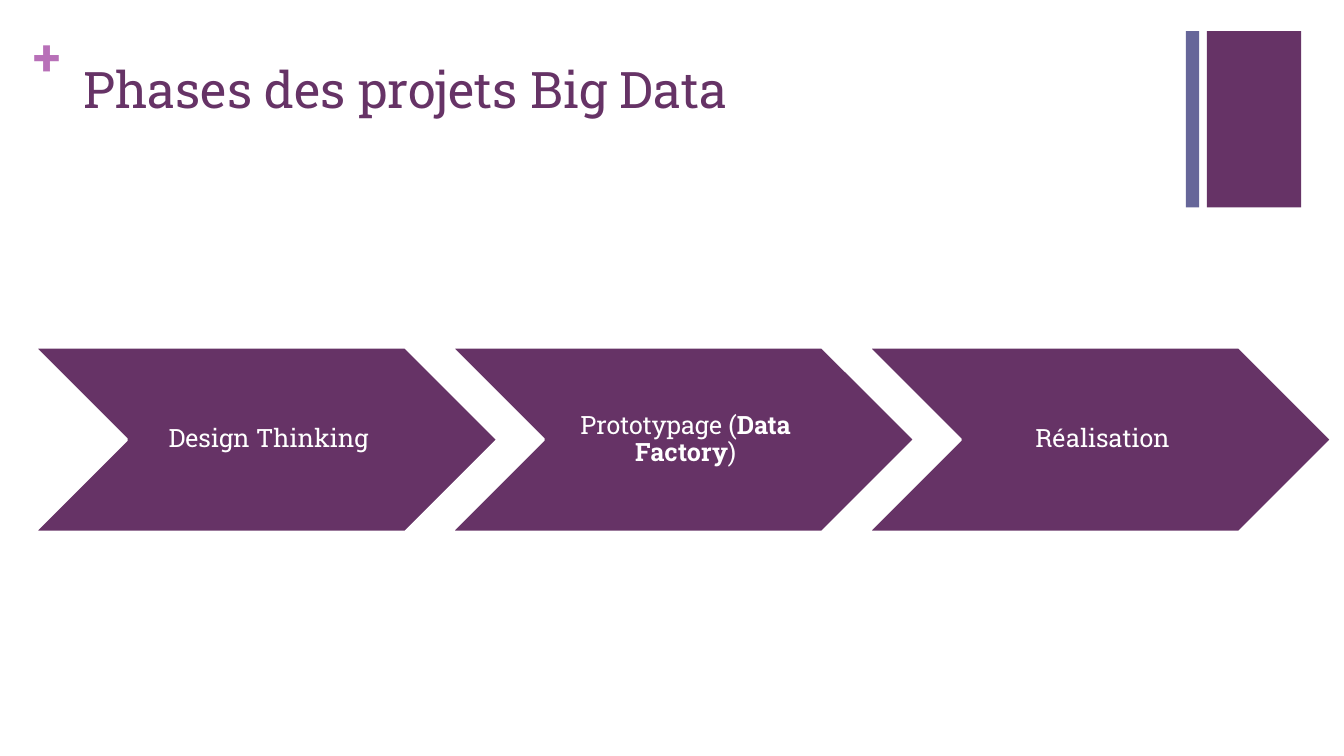
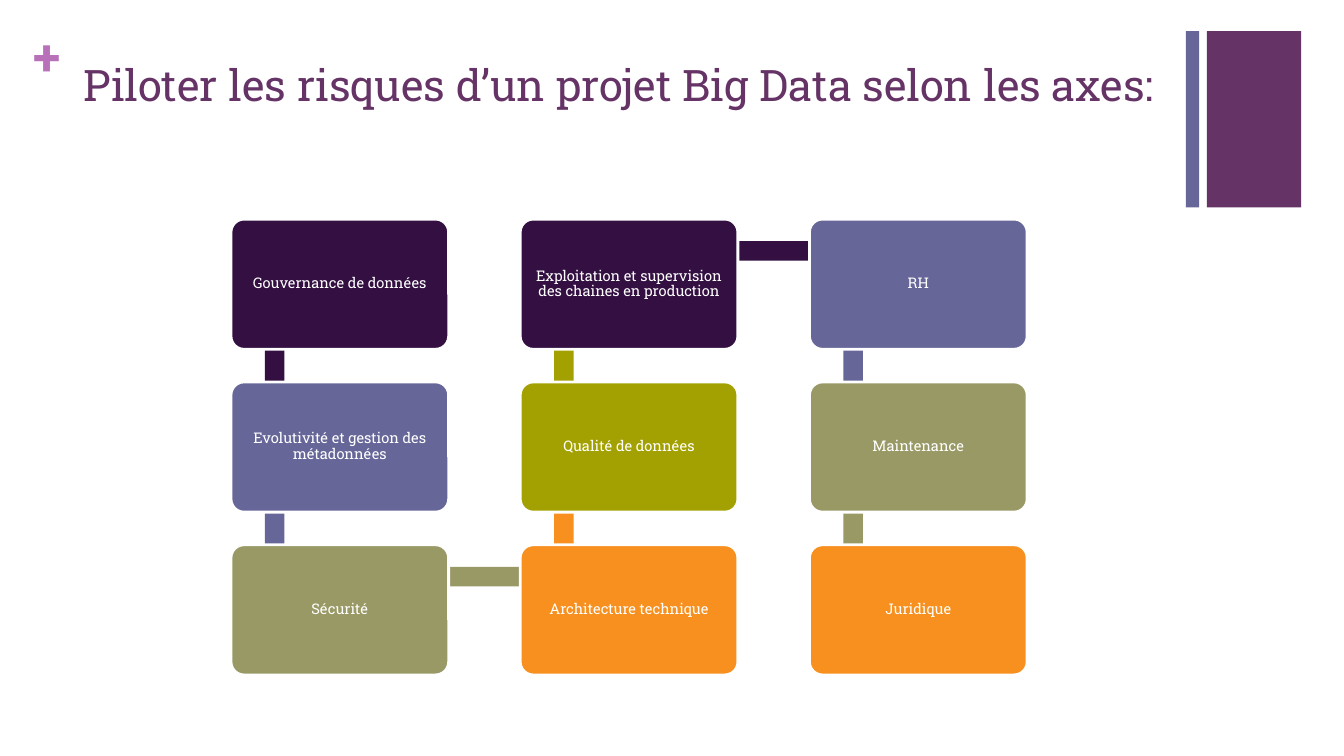
from itertools import pairwise

from pptx import Presentation
from pptx.dml.color import RGBColor
from pptx.enum import shapes, text
from pptx.util import Pt

FONT = "Roboto Slab"
PLUM, SLATE, ORCHID, WHITE = "663366", "666699", "B870B8", "FFFFFF"
NIGHT, OLIVE, ORANGE, LIME = "330F42", "999966", "F7901E", "A3A101"
PRESET = shapes.MSO_SHAPE
TITLE_ONLY = 5

PHASES_TITLE = "Phases des projets Big Data"
# Each phase is a list of (text, bold) spans.
PHASES = [
    [("Design Thinking", False)],
    [("Prototypage (", False), ("Data Factory", True), (")", False)],
    [("Réalisation", False)],
]

RISKS_TITLE = "Piloter les risques d’un projet Big Data selon les axes:"
# In reading order along the winding path: down, up, then down again.
RISKS = [
    ("Gouvernance de données", NIGHT),
    ("Evolutivité et gestion des métadonnées", SLATE),
    ("Sécurité", OLIVE),
    ("Architecture technique", ORANGE),
    ("Qualité de données", LIME),
    ("Exploitation et supervision des chaines en production", NIGHT),
    ("RH", SLATE),
    ("Maintenance", OLIVE),
    ("Juridique", ORANGE),
]


def rgb(color):
    return RGBColor.from_string(color)


def write(shape, spans, size, color=WHITE, align=text.PP_ALIGN.CENTER,
          anchor=text.MSO_ANCHOR.MIDDLE, margins=(0, 0, 0, 0), spacing=None):
    """Fill a shape with one paragraph of (text, bold) spans."""
    frame = shape.text_frame
    frame.word_wrap = True
    frame.auto_size = text.MSO_AUTO_SIZE.NONE
    frame.vertical_anchor = anchor
    (frame.margin_left, frame.margin_top,
     frame.margin_right, frame.margin_bottom) = map(Pt, margins)
    para = frame.paragraphs[0]
    para.alignment = align
    para.line_spacing = spacing
    for words, bold in spans:
        span = para.add_run()
        span.text = words
        span.font.name = FONT
        span.font.size = Pt(size)
        span.font.bold = bold
        span.font.color.rgb = rgb(color)


def add_block(page, preset, left, top, width, height, fill, outline=None):
    block = page.shapes.add_shape(preset, Pt(left), Pt(top), Pt(width), Pt(height))
    block.shadow.inherit = False
    block.fill.solid()
    block.fill.fore_color.rgb = rgb(fill)
    if outline:
        block.line.color.rgb = rgb(outline)
        block.line.width = Pt(2)
    else:
        block.line.fill.background()
    return block


def add_page(deck, title, title_size):
    """Add a slide with the shared bands, plus sign and title."""
    page = deck.slides.add_slide(deck.slide_layouts[TITLE_ONLY])
    top_left = dict(align=text.PP_ALIGN.LEFT, anchor=text.MSO_ANCHOR.TOP)
    add_block(page, PRESET.RECTANGLE, 862, 22.2, 67.5, 126, PLUM)
    add_block(page, PRESET.RECTANGLE, 847, 22.2, 9.6, 126, SLATE)
    plus = page.shapes.add_textbox(Pt(23.8), Pt(18), Pt(27.4), Pt(44))
    write(plus, [("+", True)], 36, ORCHID, **top_left)
    heading = page.shapes.title
    heading.left, heading.top = Pt(52.6), Pt(38.2)
    heading.width, heading.height = Pt(793.4), Pt(87.8)
    write(heading, [(title, False)], title_size, PLUM,
          margins=(7.2, 3.6, 7.2, 3.6), **top_left)
    return page


def add_phases(page):
    left, top, width, height, pitch = 24.5, 248, 331, 132, 297.8
    for index, spans in enumerate(PHASES):
        chevron = add_block(page, PRESET.CHEVRON, left + index * pitch, top,
                            width, height, PLUM, WHITE)
        write(chevron, spans, 18, margins=(6, 2, 2, 2), spacing=0.9)


def add_risks(page):
    left, top, width, height = 165, 156.5, 155.5, 93
    pitch_x, pitch_y, rows = 206.6, 116.3, 3
    link_x, link_y, thickness = 31.2, 22.8, 14  # link ends, from a box corner

    corners = []
    for index in range(len(RISKS)):
        column, step = divmod(index, rows)
        row = rows - 1 - step if column % 2 else step
        corners.append((left + column * pitch_x, top + row * pitch_y))

    for ((x1, y1), (x2, y2)), (_, color) in zip(pairwise(corners), RISKS):
        add_block(page, PRESET.RECTANGLE,
                  min(x1, x2) + link_x - thickness / 2,
                  min(y1, y2) + link_y - thickness / 2,
                  abs(x2 - x1) + thickness, abs(y2 - y1) + thickness, color)

    for (x, y), (label, color) in zip(corners, RISKS):
        box = add_block(page, PRESET.ROUNDED_RECTANGLE, x, y, width, height,
                        color, WHITE)
        box.adjustments[0] = 0.1
        write(box, [(label, False)], 10.5, margins=(3.6,) * 4, spacing=0.9)


def main():
    deck = Presentation()
    deck.slide_width, deck.slide_height = Pt(960), Pt(540)
    add_phases(add_page(deck, PHASES_TITLE, 36))
    add_risks(add_page(deck, RISKS_TITLE, 31))
    deck.save("out.pptx")


if __name__ == "__main__":
    main()
